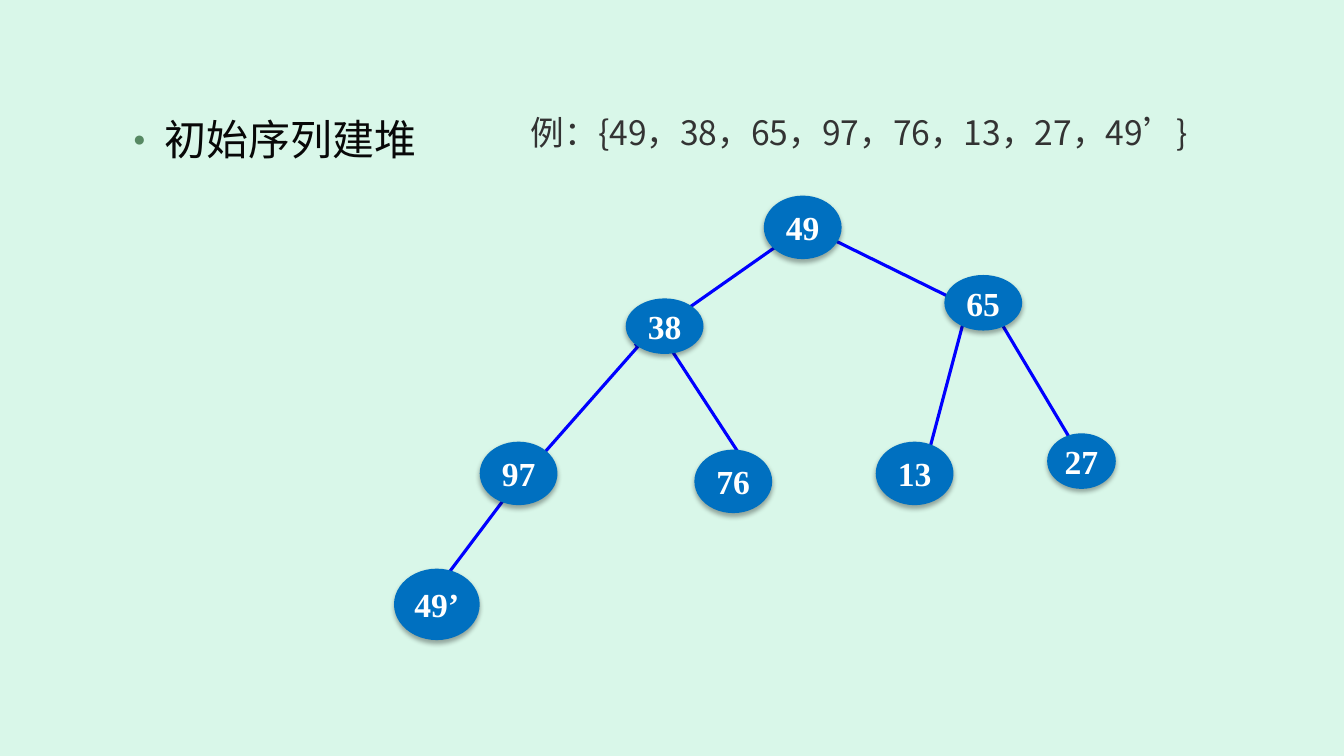
from lxml.etree import SubElement
from pptx import Presentation
from pptx.dml.color import RGBColor
from pptx.enum.shapes import MSO_CONNECTOR, MSO_SHAPE
from pptx.enum.text import MSO_ANCHOR, MSO_AUTO_SIZE, PP_ALIGN
from pptx.oxml import parse_xml
from pptx.oxml.ns import nsdecls, qn
from pptx.util import Cm, Pt

HEADING = "初始序列建堆"
EXAMPLE = "例：{49，38，65，97，76，13，27，49’}"
NODES = [
    ("49", 19.25, 4.93, 1.96, 1.6),
    ("38", 15.77, 7.52, 1.96, 1.4),
    ("65", 23.8, 6.93, 1.96, 1.4),
    ("97", 12.09, 11.13, 1.96, 1.6),
    ("76", 17.5, 11.33, 1.96, 1.6),
    ("13", 22.07, 11.13, 1.96, 1.6),
    ("27", 26.39, 10.92, 1.73, 1.4),
    ("49’", 9.93, 14.33, 2.16, 1.8),
]
EDGES = [
    (19.69, 6.12, 16, 8.71),
    (20.75, 5.92, 24, 7.52),
    (16.43, 8.33, 13.61, 11.53),
    (16.87, 8.74, 18.82, 11.73),
    (12.75, 12.52, 10.8, 15.11),
    (24.33, 7.92, 23.37, 11.53),
    (25.1, 7.92, 27.25, 11.53),
]
CJK_FONT = "Noto Sans CJK SC"
NODE_FONT = "Times New Roman"
MINT = RGBColor(0xD9, 0xF7, 0xE9)
INK = RGBColor(0x08, 0x08, 0x08)
GREY = RGBColor(0x33, 0x33, 0x33)
EDGE_BLUE = RGBColor(0x00, 0x00, 0xFF)
NODE_BLUE = RGBColor(0x00, 0x70, 0xC0)
WHITE = RGBColor(0xFF, 0xFF, 0xFF)
BULLET_GREEN = RGBColor(0x57, 0x89, 0x63)


def add_text(p, text, size, font, color, bold=False):
    r = p.add_run()
    r.text = text
    r.font.size = Pt(size)
    r.font.name = font
    r.font.bold = bold
    r.font.color.rgb = color
    SubElement(r._r.get_or_add_rPr(), qn("a:ea"), typeface=font)


def add_bullet(p):
    pPr = p._p.get_or_add_pPr()
    pPr.set("marL", str(Cm(2.06)))
    pPr.set("indent", str(Cm(-0.79)))
    clr = SubElement(pPr, qn("a:buClr"))
    SubElement(clr, qn("a:srgbClr"), val=str(BULLET_GREEN))
    SubElement(pPr, qn("a:buSzPct"), val="50000")
    SubElement(pPr, qn("a:buChar"), char="●")


def add_edge(s, x1, y1, x2, y2):
    line = s.shapes.add_connector(
        MSO_CONNECTOR.STRAIGHT, Cm(x1), Cm(y1), Cm(x2), Cm(y2))
    line.line.color.rgb = EDGE_BLUE
    line.line.width = Pt(2.25)
    SubElement(line._element.spPr, qn("a:effectLst"))


def add_node(s, label, x, y, w, h):
    sp = s.shapes.add_shape(MSO_SHAPE.OVAL, Cm(x), Cm(y), Cm(w), Cm(h))
    sp.fill.solid()
    sp.fill.fore_color.rgb = NODE_BLUE
    sp.line.fill.background()
    sp._element.spPr.append(parse_xml(
        f'<a:effectLst {nsdecls("a")}>'
        f'<a:outerShdw blurRad="{Pt(3.5)}" dist="{Pt(2.2)}" dir="5400000" rotWithShape="0">'
        '<a:srgbClr val="000000"><a:alpha val="32000"/></a:srgbClr>'
        '</a:outerShdw></a:effectLst>'))
    tf = sp.text_frame
    tf.word_wrap = False
    tf.vertical_anchor = MSO_ANCHOR.MIDDLE
    p = tf.paragraphs[0]
    p.alignment = PP_ALIGN.CENTER
    add_text(p, label, 24, NODE_FONT, WHITE, bold=True)


def main():
    prs = Presentation()
    prs.slide_width, prs.slide_height = Cm(33.87), Cm(19.05)
    s = prs.slides.add_slide(prs.slide_layouts[1])
    s.background.fill.solid()
    s.background.fill.fore_color.rgb = MINT
    title = s.shapes.title._element
    title.getparent().remove(title)

    body = s.placeholders[1]
    body.left, body.top, body.width, body.height = Cm(1.83), Cm(2.87), Cm(10.03), Cm(3.61)
    tf = body.text_frame
    tf.auto_size = MSO_AUTO_SIZE.NONE
    p = tf.paragraphs[0]
    p.level = 1
    p.line_spacing = 0.9
    p.space_before = Pt(0)
    add_bullet(p)
    add_text(p, HEADING, 30, CJK_FONT, INK)

    tf = s.shapes.add_textbox(Cm(13.13), Cm(2.69), Cm(17.88), Cm(1.37)).text_frame
    tf.word_wrap = True
    add_text(tf.paragraphs[0], EXAMPLE, 24, CJK_FONT, GREY)

    for edge in EDGES:
        add_edge(s, *edge)
    for node in NODES:
        add_node(s, *node)
    prs.save("out.pptx")


if __name__ == "__main__":
    main()
